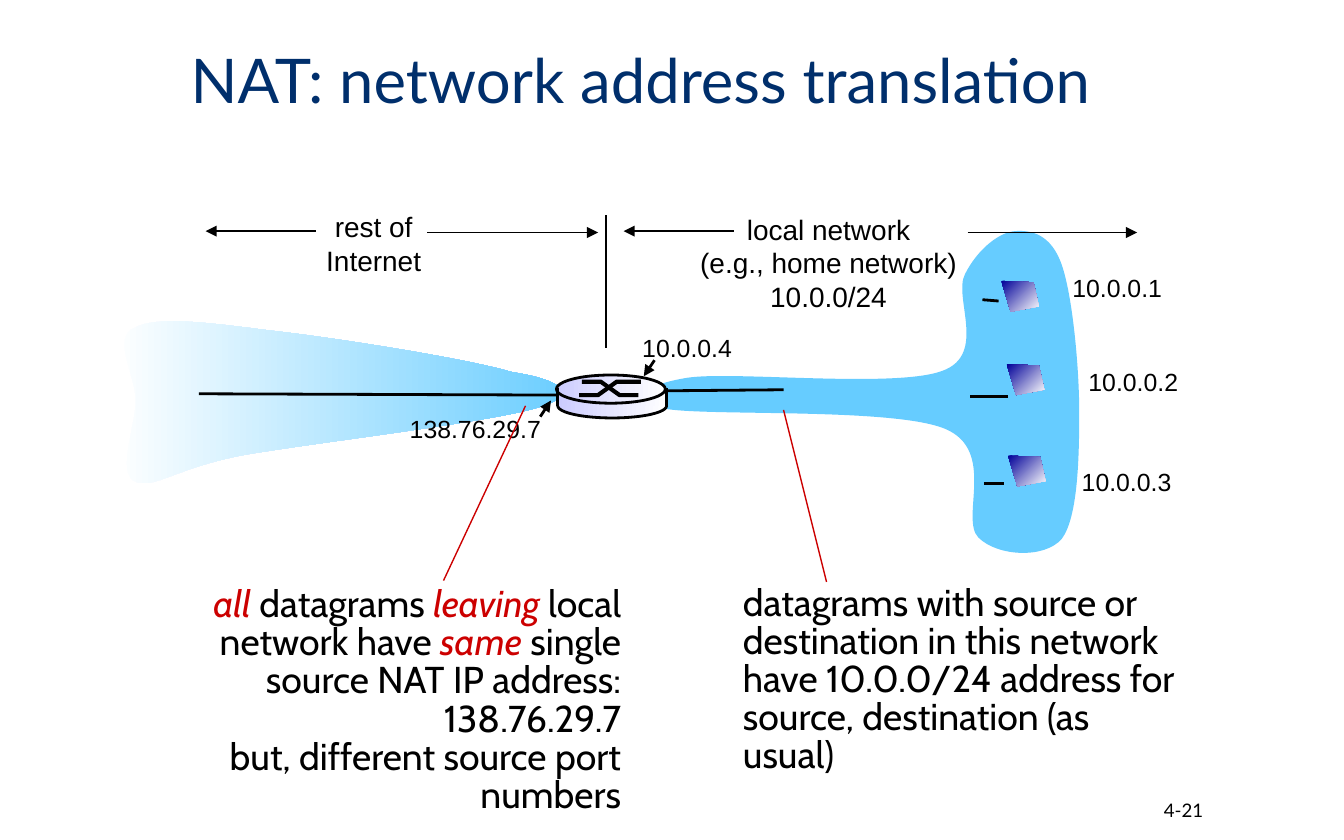
import pptx
import pptx.util
import pptx.dml.color
import pptx.enum.shapes
import pptx.enum.text
import pptx.oxml
import pptx.oxml.ns

RGB = pptx.dml.color.RGBColor
INK, NAVY, RED = RGB(0, 0, 0), RGB(0, 0x2F, 0x6C), RGB(0xCC, 0, 0)
SKY, WHITE = RGB(0x66, 0xCC, 0xFF), RGB(255, 255, 255)
LILAC, INDIGO = RGB(0xCC, 0xCC, 0xFF), RGB(0, 0, 0x99)
ALIGN = pptx.enum.text.PP_ALIGN
MID = pptx.enum.text.MSO_ANCHOR.MIDDLE
GROW = pptx.enum.text.MSO_AUTO_SIZE.SHAPE_TO_FIT_TEXT
KIND = pptx.enum.shapes.MSO_SHAPE
inch, pt = pptx.util.Inches, pptx.util.Pt

# --- Content ---
TITLE = "NAT: network address translation"
PAGE = "4-21"
HOSTS = [  # address, label corner, screen corner, cable ends
    ("10.0.0.1", (7.88, 1.98), (7.45, 2.09), (7.31, 2.23, 7.43, 2.24)),
    ("10.0.0.2", (8, 2.68), (7.49, 2.71), (7.5, 2.95, 7.22, 2.95)),
    ("10.0.0.3", (7.95, 3.42), (7.5, 3.39), (7.32, 3.6, 7.47, 3.6)),
]
PORTS = [  # address, label box, pointer
    ("10.0.0.4", (4.68, 2.43, 0.88, 0.33), (4.87, 2.68, 4.79, 2.8)),
    ("138.76.29.7", (2.95, 3.03, 1.19, 0.33), (4.02, 3.1, 4.1, 2.98)),
]
ZONES = [
    (["local network", "(e.g., home network)", "10.0.0/24"],
     (5.1, 1.53, 2.13, 0.86)),
    (["rest of", "Internet"], (2.32, 1.51, 0.92, 0.61)),
]
SPANS = [(7.2, 1.73, 8.46, 1.73), (5.46, 1.72, 4.64, 1.72),
         (3.18, 1.73, 4.45, 1.73), (2.35, 1.72, 1.53, 1.72)]
INSIDE = ["datagrams with source or", "destination in this network",
          "have 10.0.0/24 address for", "source, destination (as usual)"]
OUTSIDE = [  # runs; True marks red italics
    [("all ", True), ("datagrams ", False), ("leaving", True),
     (" local", False)],
    [("network have ", False), ("same", True),
     (" single source NAT IP address: 138.76.29.7", False), None,
     ("but, different source port numbers", False)],
]
LEADS = [(6.15, 4.33, 5.83, 3.05), (3.3, 4.32, 3.91, 3.02)]

# Curved outlines: start point, then two controls and an end per curve
LOCAL = [
    (5.12, 2.81),
    (5.47, 2.76), (6.66, 2.89), (7.01, 2.76),
    (7.35, 2.64), (7.09, 2.21), (7.18, 2.04),
    (7.27, 1.86), (7.43, 1.73), (7.55, 1.72),
    (7.67, 1.71), (7.82, 1.74), (7.9, 1.97),
    (7.98, 2.2), (8.03, 2.73), (8.03, 3.07),
    (8.03, 3.41), (8.02, 3.85), (7.9, 4.01),
    (7.77, 4.16), (7.42, 4.14), (7.28, 4),
    (7.14, 3.86), (7.42, 3.35), (7.03, 3.19),
    (6.64, 3.03), (5.25, 3.1), (4.94, 3.04),
    (4.62, 2.98), (4.8, 2.86), (5.12, 2.81)]
REST = [
    (3.81, 2.77),
    (3.48, 2.67), (2.47, 2.51), (2.01, 2.46),
    (1.54, 2.4), (1.17, 2.35), (1, 2.44),
    (0.83, 2.52), (1.01, 2.79), (1.01, 2.98),
    (1.01, 3.17), (0.87, 3.51), (1, 3.58),
    (1.13, 3.65), (1.29, 3.49), (1.79, 3.39),
    (2.29, 3.3), (3.67, 3.14), (4.01, 3.03),
    (4.34, 2.93), (4.15, 2.82), (3.81, 2.77)]
SCREEN = [(0, 0), (0.24, 0.01), (0.28, 0.19), (0.07, 0.23)]

deck = pptx.Presentation()
deck.slide_width, deck.slide_height = inch(10), inch(6.25)
slide = deck.slides.add_slide(deck.slide_layouts[6])
shapes = slide.shapes


# --- Helpers ---
def node(name, attrs=""):
    return pptx.oxml.parse_xml(
        "<a:%s %s %s/>" % (name, pptx.oxml.ns.nsdecls("a"), attrs))


def paint(shape, fill=None, line=0, angle=0):
    """Fill with nothing, one colour, or a pair as a gradient."""
    shape.shadow.inherit = False
    if fill is None:
        shape.fill.background()
    elif isinstance(fill, list):
        shape.fill.gradient()
        shape.fill.gradient_angle = angle
        for stop, tone in zip(shape.fill.gradient_stops, fill):
            stop.color.rgb = tone
    else:
        shape.fill.solid()
        shape.fill.fore_color.rgb = fill
    if line:
        shape.line.color.rgb = INK
        shape.line.width = pt(line)
    else:
        shape.line.fill.background()
    return shape


def outline(dots, close=True):
    dots = [(inch(x), inch(y)) for x, y in dots]
    pen = shapes.build_freeform(*dots[0], scale=1.0)
    pen.add_line_segments(dots[1:], close=close)
    return pen.convert_to_shape()


def curve(dots):
    """Join each three segments of an outline into one cubic curve."""
    shape = outline(dots)
    tag = pptx.oxml.ns.qn
    legs = list(shape._element.iter(tag("a:lnTo")))
    for n in range(0, len(dots) - 1, 3):
        bend = node("cubicBezTo")
        legs[n].addprevious(bend)
        for leg in legs[n:n + 3]:
            bend.append(leg[0])
            leg.getparent().remove(leg)
    return shape


def line(ends, width=1.5, color=INK, arrow=False):
    link = shapes.add_connector(pptx.enum.shapes.MSO_CONNECTOR.STRAIGHT,
                                *[inch(v) for v in ends])
    link.line.color.rgb = color
    link.line.width = pt(width)
    if arrow:
        link.line._get_or_add_ln().append(node("tailEnd", 'type="triangle"'))
    link._element.spPr.append(node("effectLst"))
    return link


def text(box, paras, size, font, color=INK, align=ALIGN.LEFT, lead=None,
         wrap=True, anchor=None):
    """Each paragraph is a string or a list of runs; None breaks the line."""
    frame = shapes.add_textbox(*[inch(v) for v in box]).text_frame
    frame.word_wrap = wrap
    if anchor:
        frame.vertical_anchor = anchor
    else:
        frame.auto_size = GROW
    for n, runs in enumerate(paras):
        para = frame.add_paragraph() if n else frame.paragraphs[0]
        para.alignment = align
        if lead:
            para.line_spacing = lead
        for part in [(runs, False)] if isinstance(runs, str) else runs:
            if part is None:
                para.add_line_break()
                continue
            run = para.add_run()
            run.text, mark = part
            run.font.size, run.font.name = pt(size), font
            run.font.italic = mark
            run.font.color.rgb = RED if mark else color


# --- Network areas and title ---
paint(curve(LOCAL), SKY)
text((1.32, 0.21, 7.37, 0.83), [TITLE], 33, "Lato", NAVY, lead=0.9, anchor=MID)
paint(curve(REST), [WHITE, SKY])

# --- Cables, host labels and router ports ---
line((4.72, 2.91, 5.83, 2.9))
for name, spot, corner, cable in HOSTS:
    line(cable)
    text((*spot, 0.88, 0.33), [name], 13.3, "Arial", wrap=False)
for name, box, ends in PORTS:
    text(box, [name], 13.3, "Arial", wrap=False)
    line(ends, arrow=True)
line((1.48, 2.93, 4.23, 2.94))

# --- Zone headings ---
for words, box in ZONES:
    text(box, words, 15, "Arial", align=ALIGN.CENTER, wrap=False)
for ends in SPANS:
    line(ends, 0.75, arrow=True)
line((4.51, 1.6, 4.51, 2.59), 0.75)

# --- Explanations ---
text((5.43, 4.31, 3.47, 1.25), INSIDE, 20, "Cabin", lead=0.85)
text((0.84, 4.32, 3.88, 1.82), OUTSIDE, 20, "Cabin", align=ALIGN.RIGHT,
     lead=0.85)
for ends in LEADS:
    line(ends, 0.75, RED)

# --- Router ---
router = []
for kind, box, width in [(KIND.OVAL, (4.15, 2.93, 0.81, 0.18), 1.5),
                         (KIND.RECTANGLE, (4.15, 2.91, 0.82, 0.11), 0),
                         (KIND.OVAL, (4.14, 2.79, 0.81, 0.21), 1.5)]:
    body = shapes.add_shape(kind, *[inch(v) for v in box])
    router.append(paint(body, [LILAC, WHITE], width))
HIGH, LOW = 2.84, 2.94
for xs, y, z in [((4.31, 4.45, 4.59, 4.77), LOW, HIGH),
                 ((4.33, 4.47, 4.61, 4.75), HIGH, LOW)]:
    mark = outline(list(zip(xs, (y, y, z, z))), close=False)
    router.append(paint(mark, line=2.25))
for x in (4.15, 4.96):
    router.append(line((x, 2.89, x, 3.02)))
shapes.add_group_shape(router)

# --- Host screens ---
for name, spot, (left, top), cable in HOSTS:
    paint(outline([(left + x, top + y) for x, y in SCREEN]),
          [INDIGO, WHITE], angle=315)

# --- Page number ---
text((8.54, 5.9, 0.51, 0.25), [PAGE], 10, "Lato", align=ALIGN.RIGHT,
     anchor=MID)

deck.save("out.pptx")
